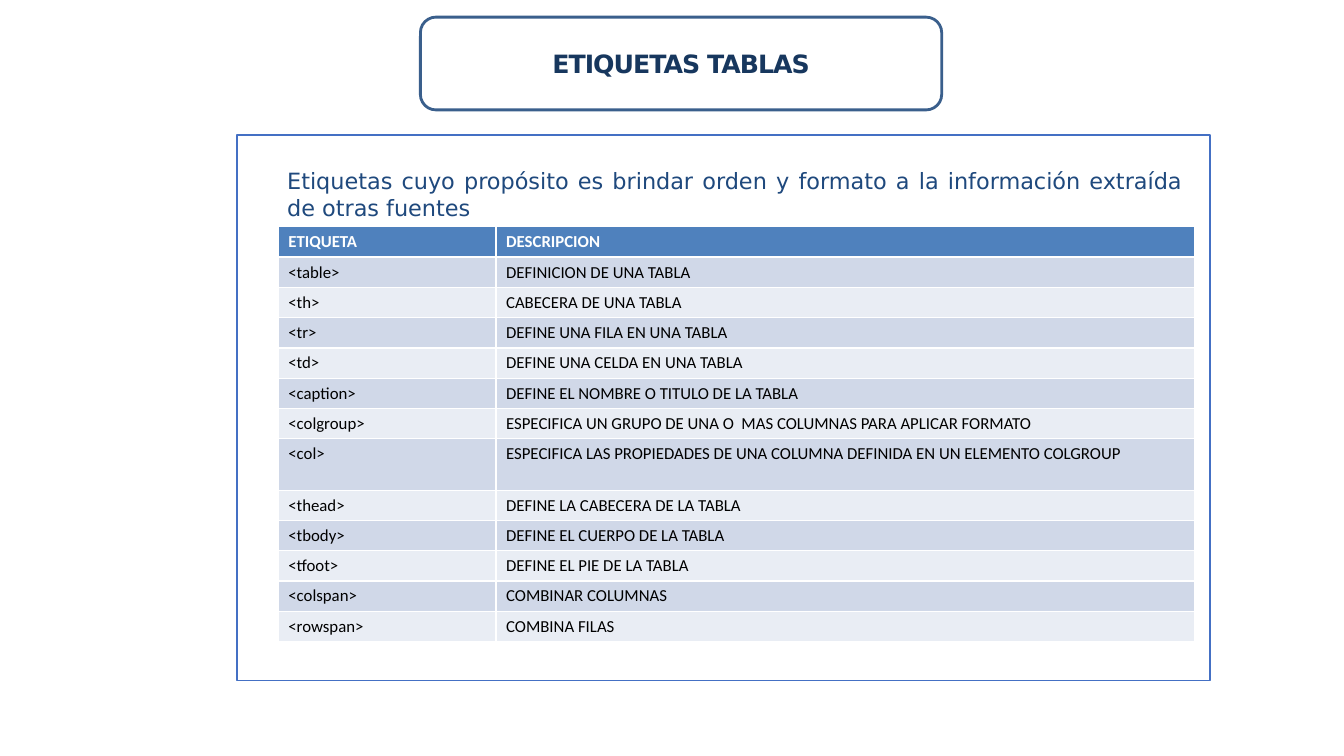
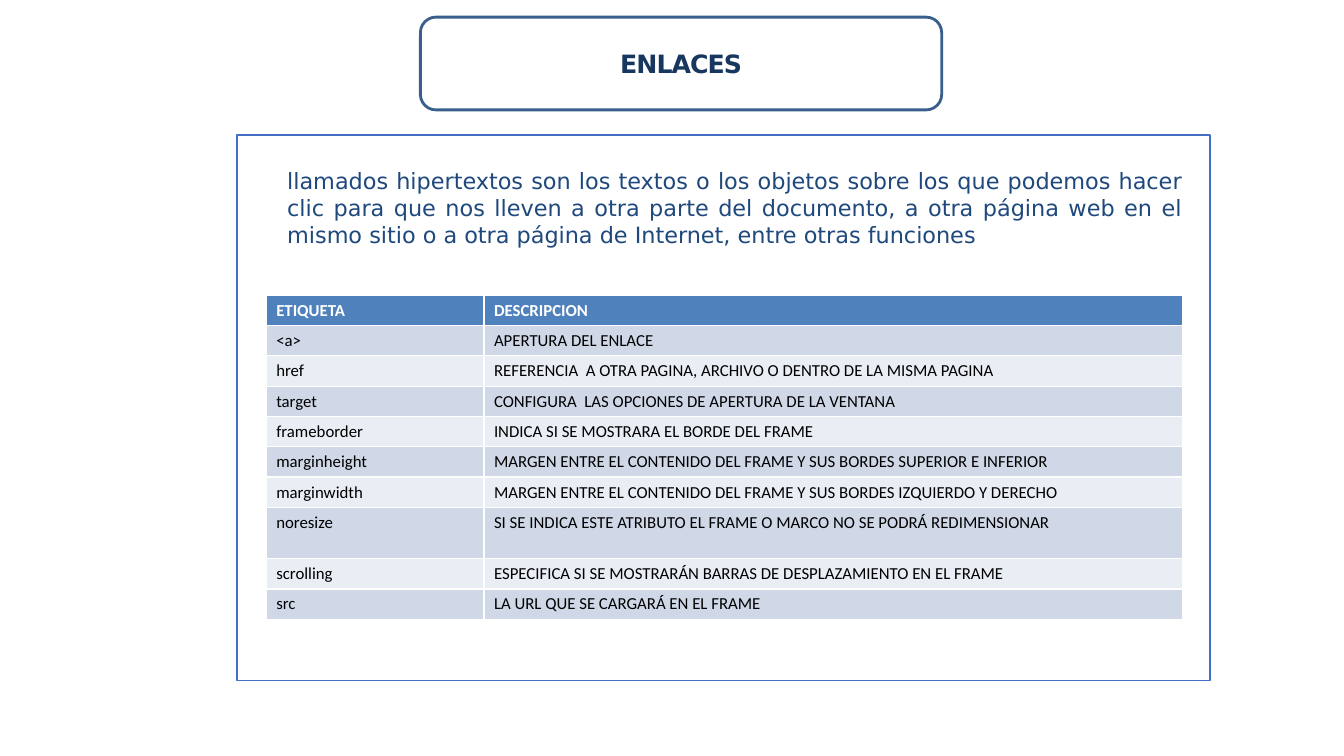
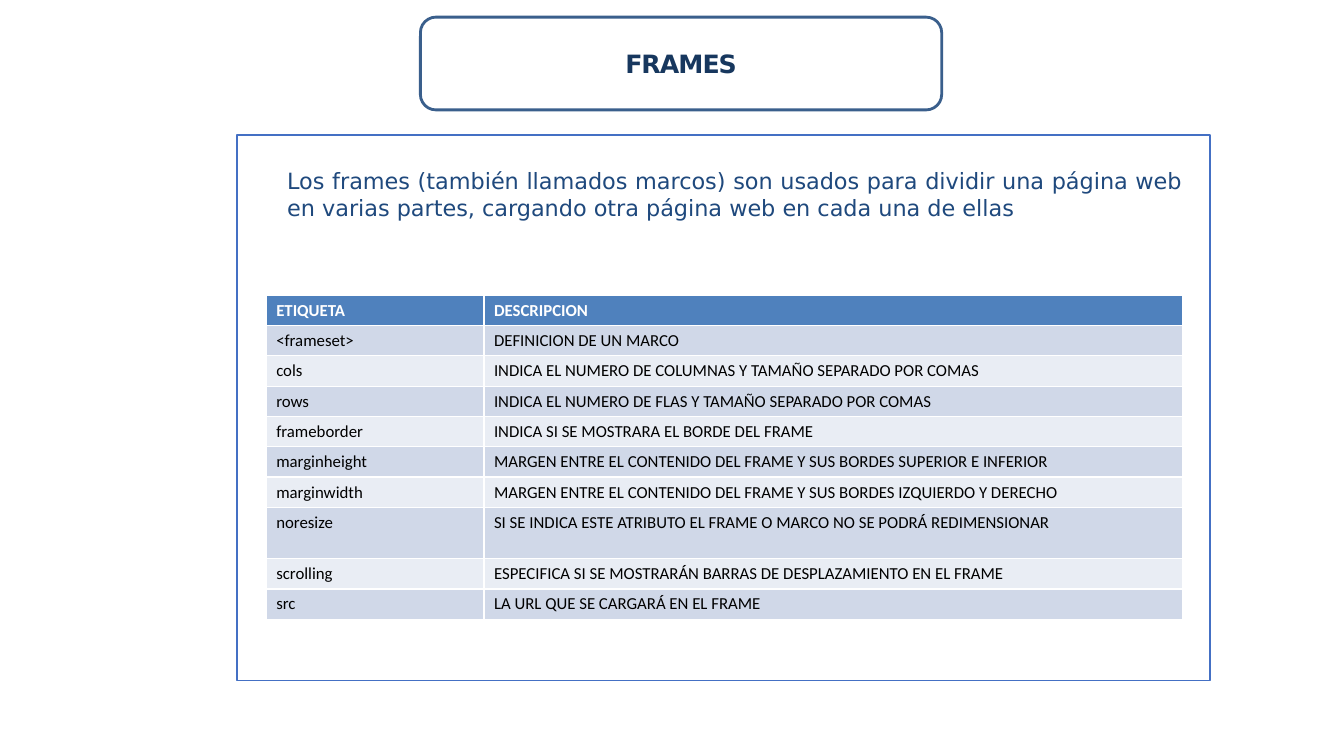
from pptx import Presentation
from pptx.dml.color import RGBColor
from pptx.enum.shapes import MSO_SHAPE
from pptx.enum.text import MSO_ANCHOR, MSO_AUTO_SIZE, PP_ALIGN
from pptx.util import Inches, Pt

# Shared look
NAVY = RGBColor(0x17, 0x37, 0x5E)
BLUE = RGBColor(0x1F, 0x49, 0x7D)
EDGE = RGBColor(0x3A, 0x5F, 0x8C)
RULE = RGBColor(0x44, 0x70, 0xC4)
HEAD = RGBColor(0x4F, 0x81, 0xBD)
BANDS = [RGBColor(0xE9, 0xED, 0xF4), RGBColor(0xD0, 0xD8, 0xE8)]
WHITE = RGBColor(0xFF, 0xFF, 0xFF)
BLACK = RGBColor(0x00, 0x00, 0x00)
SANS = "DejaVu Sans"
BODY = "Calibri"

TITLE_BOX = [Inches(v) for v in (4.17, 0.17, 5.17, 0.92)]
PANEL_BOX = [Inches(v) for v in (2.35, 1.34, 9.65, 5.41)]
COLS = [Inches(2.16), Inches(6.93)]
ROW, TALL = Inches(0.3), Inches(0.51)
TALL_ROW = 7

# Content
HEADER = ("ETIQUETA", "DESCRIPCION")
FRAME_ROWS = [
    ("frameborder", "INDICA SI SE MOSTRARA EL BORDE DEL FRAME"),
    ("marginheight", "MARGEN ENTRE EL CONTENIDO DEL FRAME Y SUS BORDES SUPERIOR E INFERIOR"),
    ("marginwidth", "MARGEN ENTRE EL CONTENIDO DEL FRAME Y SUS BORDES IZQUIERDO Y DERECHO"),
    ("noresize", "SI SE INDICA ESTE ATRIBUTO EL FRAME O MARCO NO SE PODRÁ REDIMENSIONAR"),
    ("scrolling", "ESPECIFICA SI SE MOSTRARÁN BARRAS DE DESPLAZAMIENTO EN EL FRAME"),
    ("src", "LA URL QUE SE CARGARÁ EN EL FRAME"),
]
TABLE_ROWS = [
    ("<table>", "DEFINICION DE UNA TABLA"),
    ("<th>", "CABECERA DE UNA TABLA"),
    ("<tr>", "DEFINE UNA FILA EN UNA TABLA"),
    ("<td>", "DEFINE UNA CELDA EN UNA TABLA"),
    ("<caption>", "DEFINE EL NOMBRE O TITULO DE LA TABLA"),
    ("<colgroup>", "ESPECIFICA UN GRUPO DE UNA O  MAS COLUMNAS PARA APLICAR FORMATO"),
    ("<col>", "ESPECIFICA LAS PROPIEDADES DE UNA COLUMNA DEFINIDA EN UN ELEMENTO COLGROUP"),
    ("<thead>", "DEFINE LA CABECERA DE LA TABLA"),
    ("<tbody>", "DEFINE EL CUERPO DE LA TABLA"),
    ("<tfoot>", "DEFINE EL PIE DE LA TABLA"),
    ("<colspan>", "COMBINAR COLUMNAS"),
    ("<rowspan>", "COMBINA FILAS"),
]
LINK_ROWS = [
    ("<a>", "APERTURA DEL ENLACE"),
    ("href", "REFERENCIA  A OTRA PAGINA, ARCHIVO O DENTRO DE LA MISMA PAGINA"),
    ("target", "CONFIGURA  LAS OPCIONES DE APERTURA DE LA VENTANA"),
]
SET_ROWS = [
    ("<frameset>", "DEFINICION DE UN MARCO"),
    ("cols", "INDICA EL NUMERO DE COLUMNAS Y TAMAÑO SEPARADO POR COMAS"),
    ("rows", "INDICA EL NUMERO DE FLAS Y TAMAÑO SEPARADO POR COMAS"),
]
# Title, intro, intro height, table left and top, rows
PAGES = [
    ("ETIQUETAS TABLAS",
     "Etiquetas cuyo propósito es brindar orden y formato a la información "
     "extraída de otras fuentes",
     0.64, 2.76, 2.25, TABLE_ROWS),
    ("ENLACES",
     "llamados hipertextos son los textos o los objetos sobre los que podemos "
     "hacer clic para que nos lleven a otra parte del documento, a otra página "
     "web en el mismo sitio o a otra página de Internet, entre otras funciones",
     0.91, 2.64, 2.93, LINK_ROWS + FRAME_ROWS),
    ("FRAMES",
     "Los frames (también llamados marcos) son usados para dividir una página "
     "web en varias partes, cargando otra página web en cada una de ellas",
     0.64, 2.64, 2.93, SET_ROWS + FRAME_ROWS),
]


def style(para, face, size, color, bold=False):
    font = para.font
    font.name, font.size, font.bold = face, Pt(size), bold
    font.color.rgb = color


def outline(slide, kind, box, color, width):
    shape = slide.shapes.add_shape(kind, *box)
    shape.shadow.inherit = False
    shape.fill.background()
    shape.line.color.rgb = color
    shape.line.width = Pt(width)


deck = Presentation()
deck.slide_width, deck.slide_height = Inches(13.33), Inches(7.5)

for name, intro, high, left, top, rows in PAGES:
    slide = deck.slides.add_slide(deck.slide_layouts[5])

    # Panel and title frame
    outline(slide, MSO_SHAPE.RECTANGLE, PANEL_BOX, RULE, 0.96)
    outline(slide, MSO_SHAPE.ROUNDED_RECTANGLE, TITLE_BOX, EDGE, 2)

    # Title
    title = slide.shapes.title
    title.left, title.top, title.width, title.height = TITLE_BOX
    frame = title.text_frame
    frame.text = name
    frame.auto_size = MSO_AUTO_SIZE.NONE
    frame.vertical_anchor = MSO_ANCHOR.MIDDLE
    para = frame.paragraphs[0]
    para.alignment = PP_ALIGN.CENTER
    style(para, SANS, 18, NAVY, True)
    para.runs[0].font._element.set("spc", "-70")

    # Introduction
    note = slide.shapes.add_textbox(Inches(2.75), Inches(1.61), Inches(9.08), Inches(high))
    frame = note.text_frame
    frame.word_wrap = True
    frame.auto_size = MSO_AUTO_SIZE.SHAPE_TO_FIT_TEXT
    frame.text = intro
    para = frame.paragraphs[0]
    para.alignment = PP_ALIGN.JUSTIFY
    style(para, SANS, 16, BLUE)

    # Table of tags
    lines = [HEADER] + rows
    table = slide.shapes.add_table(len(lines), len(COLS), Inches(left), Inches(top),
                                   sum(COLS), ROW * (len(lines) - 1) + TALL).table
    for col, width in zip(table.columns, COLS):
        col.width = width
    for r, line in enumerate(lines):
        table.rows[r].height = TALL if r == TALL_ROW else ROW
        for c, text in enumerate(line):
            cell = table.cell(r, c)
            cell.text = text
            cell.fill.solid()
            cell.fill.fore_color.rgb = BANDS[r % 2] if r else HEAD
            style(cell.text_frame.paragraphs[0], BODY, 12, BLACK if r else WHITE, r == 0)

deck.save("out.pptx")
